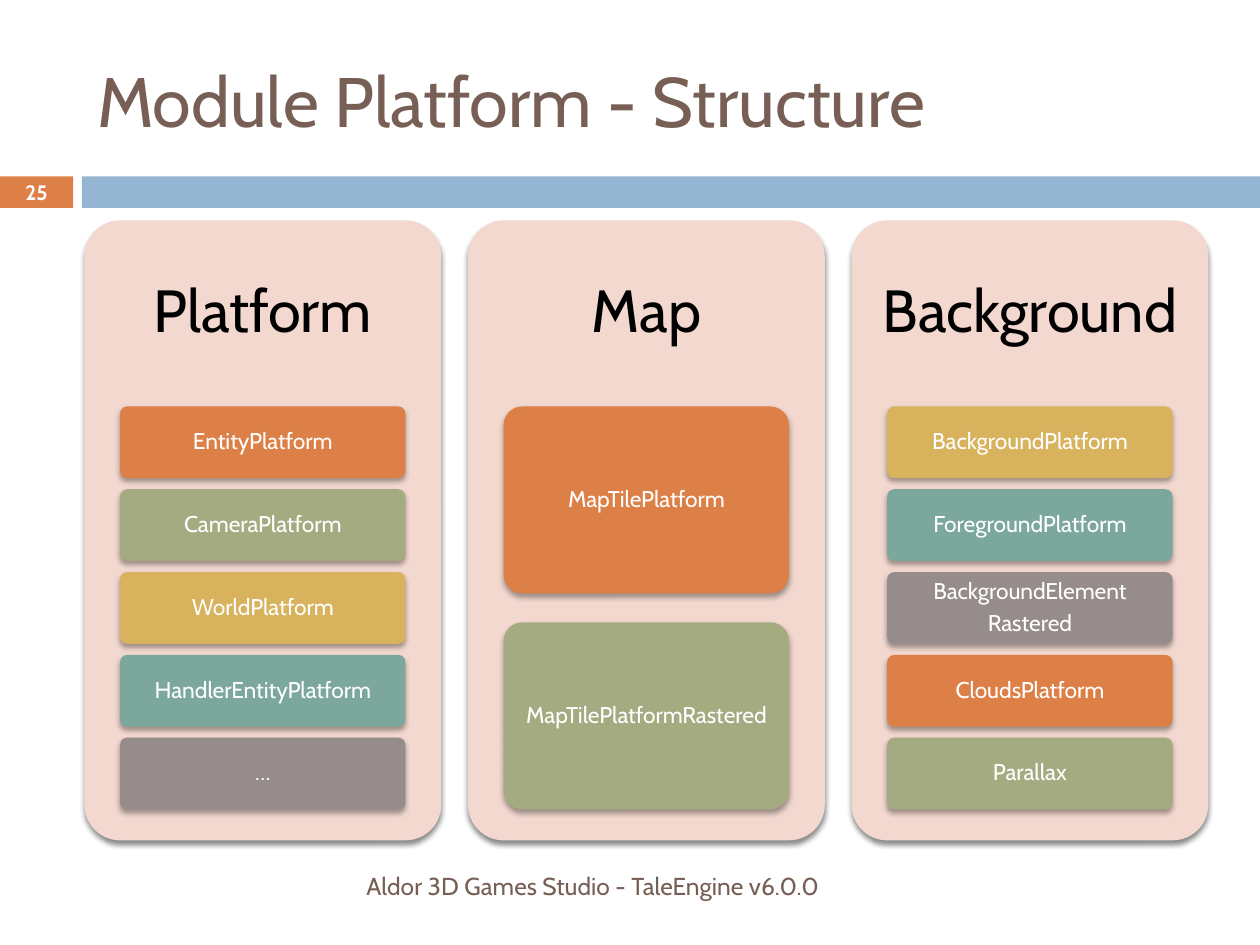
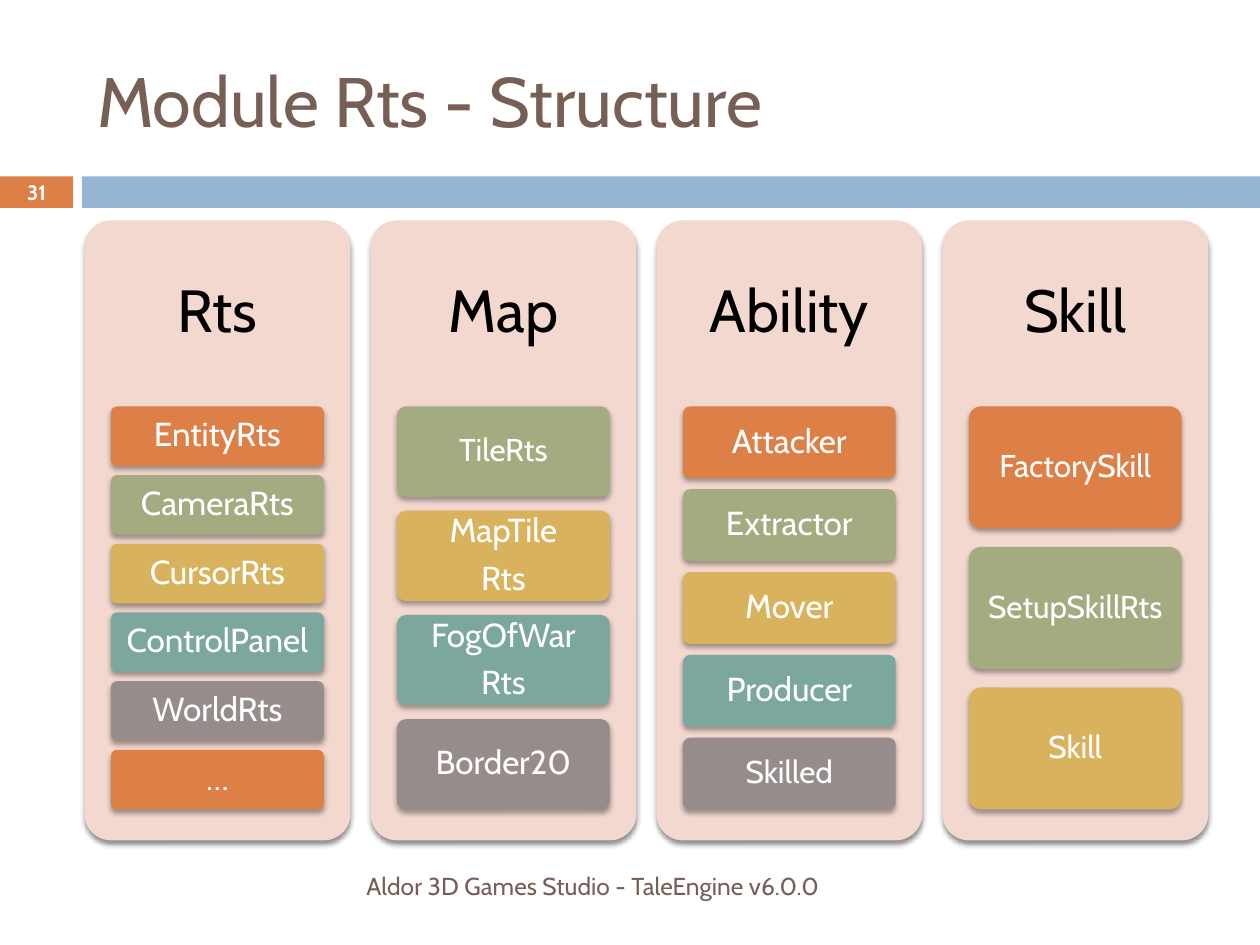
from dataclasses import dataclass, field

from lxml.etree import SubElement
from pptx import Presentation
from pptx.dml.color import RGBColor
from pptx.enum.shapes import MSO_SHAPE
from pptx.enum.text import MSO_ANCHOR, PP_ALIGN
from pptx.oxml.ns import qn
from pptx.shapes.autoshape import Shape
from pptx.slide import Slide
from pptx.text.text import TextFrame
from pptx.util import Inches, Pt

WIDTH, HEIGHT = Inches(10), Inches(7.5)
FONT = "Cabin"
BROWN = RGBColor(0x77, 0x5F, 0x55)
BLUE = RGBColor(0x94, 0xB6, 0xD2)
PINK = RGBColor(0xF2, 0xD8, 0xCF)
BLACK = RGBColor(0x00, 0x00, 0x00)
WHITE = RGBColor(0xFF, 0xFF, 0xFF)
ORANGE = RGBColor(0xDD, 0x80, 0x47)
GREEN = RGBColor(0xA5, 0xAB, 0x81)
YELLOW = RGBColor(0xD8, 0xB2, 0x5C)
TEAL = RGBColor(0x7B, 0xA7, 0x9D)
GREY = RGBColor(0x96, 0x8C, 0x8C)
ACCENTS = (ORANGE, GREEN, YELLOW, TEAL, GREY)
FOOTER = "Aldor 3D Games Studio - TaleEngine v6.0.0"

# Gaps as shares of the panel width and of the block height
PANEL_GAP = 0.075
BLOCK_GAP = 2 / 13


@dataclass(frozen=True)
class Box:
    """A rectangle in percent of the slide's width and height."""
    x: float
    y: float
    w: float
    h: float

    def emu(self) -> tuple[int, int, int, int]:
        """Return left, top, width and height in EMU."""
        return (round(self.x * WIDTH / 100), round(self.y * HEIGHT / 100),
                round(self.w * WIDTH / 100), round(self.h * HEIGHT / 100))

    def inner(self, x: float, y: float, w: float, h: float) -> "Box":
        """Return the inner box given as shares of this one."""
        return Box(self.x + x * self.w, self.y + y * self.h,
                   w * self.w, h * self.h)


TITLE_BOX = Box(6.7, 3.33, 89.2, 14.4)
NUMBER_BOX = Box(0, 18.67, 5.8, 3.33)
BAND_BOX = Box(6.5, 18.67, 93.5, 3.33)
DIAGRAM_BOX = Box(6.7, 23.33, 89.2, 65.6)
FOOTER_BOX = Box(6.7, 91.07, 59.3, 5.33)


@dataclass(frozen=True)
class TextStyle:
    """Character and paragraph format of one kind of text."""
    size: float
    color: RGBColor
    align: PP_ALIGN = PP_ALIGN.CENTER
    bold: bool = False
    line: float = 1.0
    after: float = 0.0
    inset: tuple[float, float] = (0.1, 0.05)


TITLE = TextStyle(40, BROWN, PP_ALIGN.LEFT)
FOOT = TextStyle(14, BROWN, PP_ALIGN.RIGHT)
NUMBER = TextStyle(11.9, WHITE, bold=True, inset=(0, 0))
HEADING = TextStyle(34, BLACK, line=0.9, after=0.35, inset=(0.14, 0.14))


@dataclass(frozen=True)
class Column:
    """One panel: heading, block labels, first accent and text sizes."""
    heading: str
    labels: tuple[str, ...]
    size: int
    first_accent: int = 0
    odd_sizes: dict[str, int] = field(default_factory=dict)


@dataclass(frozen=True)
class Topic:
    """One slide: title, slide number and columns."""
    title: str
    number: int
    columns: tuple[Column, ...]


TOPICS = (
    Topic("Module Platform - Structure", 25, (
        Column("Platform", ("EntityPlatform", "CameraPlatform",
                            "WorldPlatform", "HandlerEntityPlatform", "…"), 13),
        Column("Map", ("MapTilePlatform", "MapTilePlatformRastered"), 13),
        Column("Background", ("BackgroundPlatform", "ForegroundPlatform",
                              "BackgroundElement\nRastered",
                              "CloudsPlatform", "Parallax"), 13, 2),
    )),
    Topic("Module Rts - Structure", 31, (
        Column("Rts", ("EntityRts", "CameraRts", "CursorRts",
                       "ControlPanel", "WorldRts", "…"), 19),
        Column("Map", ("TileRts", "MapTile\nRts", "FogOfWar\nRts",
                       "Border20"), 19, 1, {"TileRts": 18}),
        Column("Ability", ("Attacker", "Extractor", "Mover", "Producer",
                           "Skilled"), 19, 0, {"Skilled": 18}),
        Column("Skill", ("FactorySkill", "SetupSkillRts", "Skill"), 18),
    )),
)


def write(tf: TextFrame, text: str, style: TextStyle) -> None:
    """Fill a text frame, one paragraph for each line of text."""
    dx, dy = (Inches(v) for v in style.inset)
    frame_format = {"word_wrap": True, "vertical_anchor": MSO_ANCHOR.MIDDLE,
                    "margin_left": dx, "margin_right": dx,
                    "margin_top": dy, "margin_bottom": dy}
    for name, value in frame_format.items():
        setattr(tf, name, value)
    tf.text = text
    font_format = {"name": FONT, "size": Pt(style.size), "bold": style.bold}
    para_format = {"alignment": style.align, "line_spacing": style.line,
                   "space_before": Pt(0),
                   "space_after": Pt(style.after * style.size)}
    for p in tf.paragraphs:
        for name, value in para_format.items():
            setattr(p, name, value)
        for r in p.runs:
            for name, value in font_format.items():
                setattr(r.font, name, value)
            r.font.color.rgb = style.color


def add_box(slide: Slide, kind: MSO_SHAPE, box: Box, fill: RGBColor) -> Shape:
    """Draw a filled shape without outline or shadow."""
    sp = slide.shapes.add_shape(kind, *box.emu())
    sp.fill.solid()
    sp.fill.fore_color.rgb = fill
    sp.line.fill.background()
    sp.shadow.inherit = False
    return sp


def add_card(slide: Slide, box: Box, fill: RGBColor,
             opacity: int, distance: float) -> Shape:
    """Draw a rounded card with a soft shadow below it."""
    sp = add_box(slide, MSO_SHAPE.ROUNDED_RECTANGLE, box, fill)
    sp.adjustments[0] = 0.1
    effects = sp._element.spPr.find(qn("a:effectLst"))
    shadow = SubElement(effects, qn("a:outerShdw"), blurRad=str(Pt(3)),
                        dist=str(Pt(distance)), dir="5400000",
                        rotWithShape="0")
    color = SubElement(shadow, qn("a:srgbClr"), val=str(BLACK))
    SubElement(color, qn("a:alpha"), val=str(opacity * 1000))
    return sp


def add_text(slide: Slide, box: Box, text: str, style: TextStyle) -> None:
    """Add a text box."""
    write(slide.shapes.add_textbox(*box.emu()).text_frame, text, style)


def add_frame(slide: Slide, topic: Topic) -> None:
    """Add what all slides share: bands, title, footer and number."""
    tab = add_box(slide, MSO_SHAPE.RECTANGLE, NUMBER_BOX, ORANGE)
    write(tab.text_frame, str(topic.number), NUMBER)
    add_box(slide, MSO_SHAPE.RECTANGLE, BAND_BOX, BLUE)
    title = slide.shapes.title
    title.left, title.top, title.width, title.height = TITLE_BOX.emu()
    write(title.text_frame, topic.title, TITLE)
    add_text(slide, FOOTER_BOX, FOOTER, FOOT)


def add_column(slide: Slide, panel: Box, column: Column) -> None:
    """Draw a panel with its heading and evenly stacked blocks."""
    add_card(slide, panel, PINK, 45, 2.4)
    add_text(slide, panel.inner(0, 0, 1, 0.3), column.heading, HEADING)
    stack = panel.inner(0.1, 0.3, 0.8, 0.65)
    n = len(column.labels)
    share = 1 / (n + (n - 1) * BLOCK_GAP)
    for i, label in enumerate(column.labels):
        block = stack.inner(0, i * share * (1 + BLOCK_GAP), 1, share)
        accent = ACCENTS[(column.first_accent + i) % len(ACCENTS)]
        sp = add_card(slide, block, accent, 35, 2)
        style = TextStyle(column.odd_sizes.get(label, column.size), WHITE,
                          line=0.9, after=0.35, inset=(0.04, 0.03))
        write(sp.text_frame, label, style)


def add_topic(prs: Presentation, topic: Topic) -> None:
    """Add one slide with its panels in equal columns."""
    slide = prs.slides.add_slide(prs.slide_layouts[5])
    add_frame(slide, topic)
    n = len(topic.columns)
    share = 1 / (n + (n - 1) * PANEL_GAP)
    for i, column in enumerate(topic.columns):
        panel = DIAGRAM_BOX.inner(i * share * (1 + PANEL_GAP), 0, share, 1)
        add_column(slide, panel, column)


def main() -> None:
    """Build and save the presentation."""
    prs = Presentation()
    prs.slide_width, prs.slide_height = WIDTH, HEIGHT
    for topic in TOPICS:
        add_topic(prs, topic)
    prs.save("out.pptx")


main()
